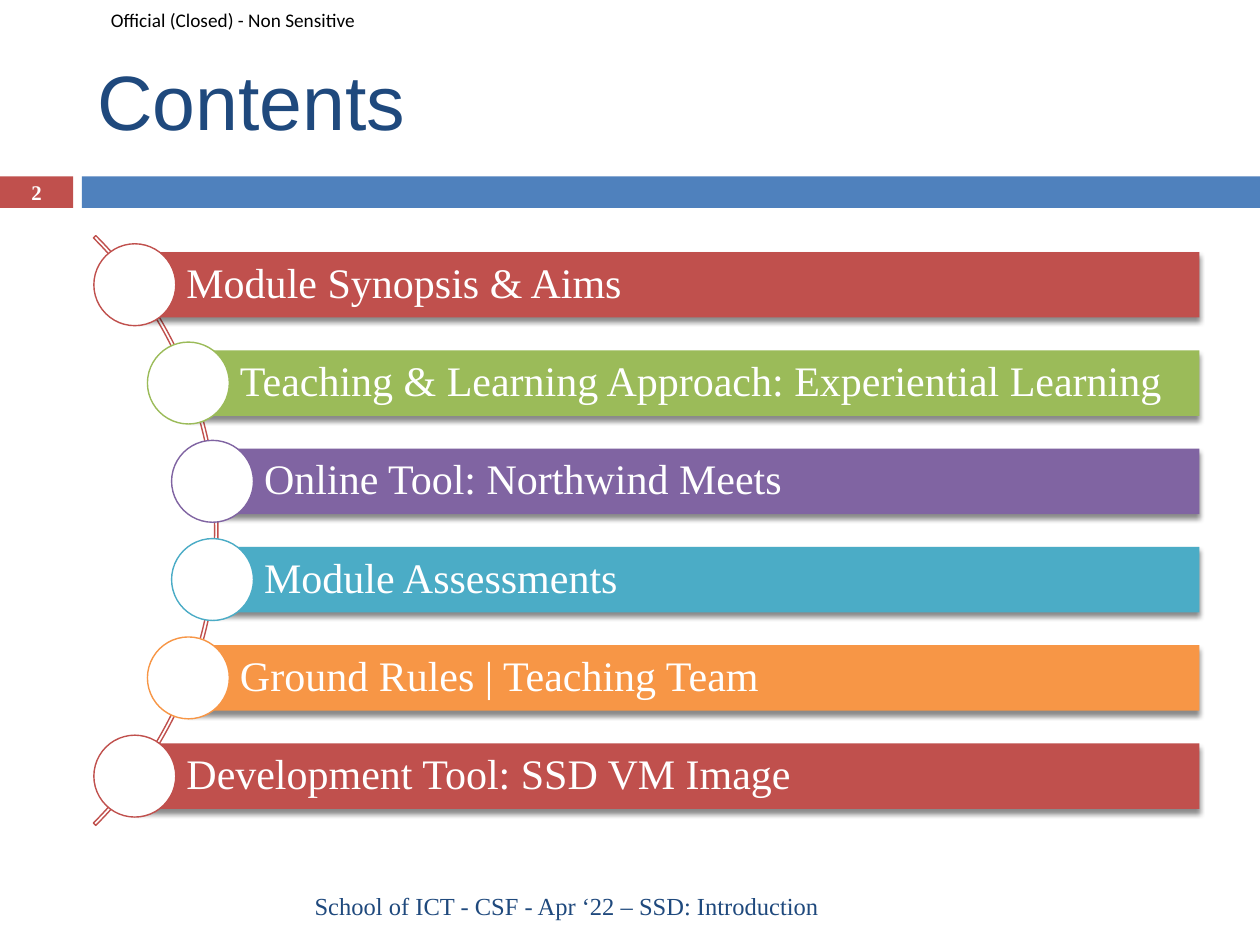
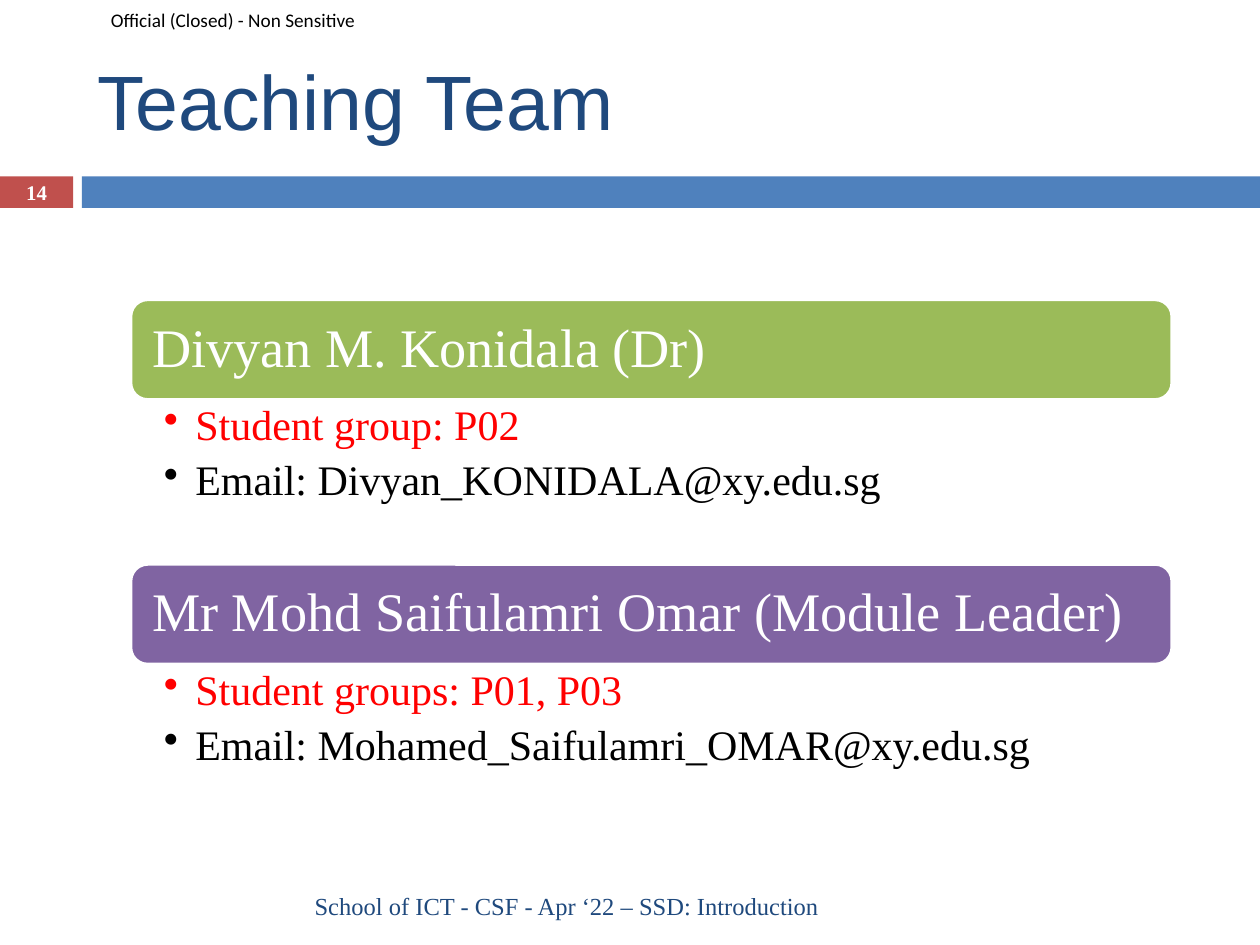
"""Build the contents and teaching team slides of a module introduction."""
import math

import lxml.etree
import pptx
import pptx.dml.color
import pptx.enum.shapes
import pptx.enum.text
import pptx.oxml.ns
import pptx.util

Inches = pptx.util.Inches
Pt = pptx.util.Pt
SHAPE = pptx.enum.shapes.MSO_SHAPE
ALIGN = pptx.enum.text.PP_ALIGN
ANCHOR = pptx.enum.text.MSO_ANCHOR
qn = pptx.oxml.ns.qn

RED, GREEN, PURPLE = "C0504D", "9BBB59", "8064A2"
TEAL, ORANGE, BLUE = "4BACC6", "F79646", "4F81BD"
NAVY, WHITE, BLACK, BRIGHT_RED = "1F497D", "FFFFFF", "000000", "FF0000"
SERIF = "Times New Roman"


def color(value):
    """Turn a hex string into a colour."""
    return pptx.dml.color.RGBColor.from_string(value)


class Deck:
    """Hold the presentation style and the current slide."""

    def __init__(self):
        """Start an empty presentation."""
        self.presentation = pptx.Presentation()
        self.presentation.slide_width = Inches(10)
        self.presentation.slide_height = Inches(7.5)
        self.slide = None

    def fill_text(self, frame, lines, size, font=SERIF, align=ALIGN.LEFT, bold=False,
                  anchor=ANCHOR.MIDDLE, insets=(0.1, 0.05, 0.1, 0.05),
                  spacing=None, after=0, bullet=False):
        """Fill a text frame with (text, colour) lines."""
        frame.word_wrap = True
        frame.vertical_anchor = anchor
        (frame.margin_left, frame.margin_top,
         frame.margin_right, frame.margin_bottom) = map(Inches, insets)
        for index, (text, ink) in enumerate(lines):
            paragraph = frame.add_paragraph() if index else frame.paragraphs[0]
            paragraph.text = text
            paragraph.alignment = align
            paragraph.line_spacing = spacing
            paragraph.space_after = Pt(after)
            if bullet:
                properties = paragraph._p.get_or_add_pPr()
                properties.set("marL", str(Inches(0.25)))
                properties.set("indent", str(-Inches(0.25)))
                lxml.etree.SubElement(properties, qn("a:buChar"), char="•")
            paragraph.font.name = font
            paragraph.font.size = Pt(size)
            paragraph.font.bold = bold
            paragraph.font.color.rgb = color(ink)

    def shape(self, kind, box, fill=None, line=None, width=0.79):
        """Add a preset shape without theme effects."""
        shape = self.slide.shapes.add_shape(kind, *map(Inches, box))
        shape.shadow.inherit = False
        if fill:
            shape.fill.solid()
            shape.fill.fore_color.rgb = color(fill)
        else:
            shape.fill.background()
        if line:
            shape.line.color.rgb = color(line)
            shape.line.width = Pt(width)
        else:
            shape.line.fill.background()
        return shape

    def text(self, box, lines, size, **style):
        """Add a text box."""
        shape = self.slide.shapes.add_textbox(*map(Inches, box))
        self.fill_text(shape.text_frame, lines, size, **style)

    def drop_shadow(self, shape):
        """Give a shape a soft shadow below it."""
        effects = shape._element.spPr.find(qn("a:effectLst"))
        shadow = lxml.etree.SubElement(
            effects, qn("a:outerShdw"), blurRad=str(Pt(3)), dist=str(Pt(2.4)),
            dir="5400000", rotWithShape="0")
        ink = lxml.etree.SubElement(shadow, qn("a:srgbClr"), val=BLACK)
        lxml.etree.SubElement(ink, qn("a:alpha"), val="45000")

    def add_slide(self, title, number):
        """Start a slide with its title, bands, marking and footer."""
        self.slide = self.presentation.slides.add_slide(self.presentation.slide_layouts[5])
        number_band = self.shape(SHAPE.RECTANGLE, (0, 1.4, 0.58, 0.25), RED)
        self.fill_text(number_band.text_frame, [(number, WHITE)], 11.9,
                       align=ALIGN.CENTER, bold=True)
        self.shape(SHAPE.RECTANGLE, (0.65, 1.4, 9.35, 0.25), BLUE)
        self.text((0, 0, 3.01, 0.31), [("Official (Closed) - Non Sensitive", BLACK)], 11,
                  font="Calibri", insets=(0.88, 0, 0, 0))
        heading = self.slide.shapes.title
        heading.left, heading.top, heading.width, heading.height = map(
            Inches, (0.67, 0.25, 8.92, 1.08))
        self.fill_text(heading.text_frame, [(title, NAVY)], 44, font="Arial")
        self.text((0.67, 6.99, 5.93, 0.4),
                  [("School of ICT - CSF - Apr ‘22 – SSD: Introduction", NAVY)], 14,
                  align=ALIGN.RIGHT)

    def curved_list(self, topics):
        """Place bars and circles along an arc."""
        center_x, center_y, radius, pitch = -1.58, 4.21, 3.29, 0.78
        bar_height, circle, right = 0.52, 0.65, 9.52
        arc = self.shape(SHAPE.BLOCK_ARC, (-4.89, 0.9, 6.62, 6.62), line=RED)
        for index, value in enumerate((189, 27, 0.004)):
            arc.adjustments[index] = value
        for index, (topic, fill) in enumerate(topics):
            offset = (index - (len(topics) - 1) / 2) * pitch
            x = center_x + math.sqrt(radius ** 2 - offset ** 2)
            y = center_y + offset
            bar = self.shape(SHAPE.RECTANGLE,
                             (x, y - bar_height / 2, right - x, bar_height), fill)
            self.drop_shadow(bar)
            self.fill_text(bar.text_frame, [(topic, WHITE)], 24,
                           insets=(0.41, 0.07, 0.07, 0.07), spacing=0.9)
            self.shape(SHAPE.OVAL, (x - circle / 2, y - circle / 2, circle, circle),
                       WHITE, fill)

    def member(self, top, name, fill, groups, email):
        """Add a teacher's name bar with details below."""
        left, width, height = 1.04, 8.26, 0.79
        bar = self.shape(SHAPE.ROUNDED_RECTANGLE, (left, top, width, height),
                         fill, WHITE, 1.5)
        self.fill_text(bar.text_frame, [(name, WHITE)], 31, insets=(0.13,) * 4, spacing=0.9)
        self.text((left, top + height, width, 0.86),
                  [(groups, BRIGHT_RED), (f"Email: {email}", BLACK)], 24,
                  anchor=ANCHOR.TOP, insets=(0.26, 0.04, 0.24, 0.04),
                  spacing=0.9, after=5.5, bullet=True)


def main():
    """Build and save both slides."""
    deck = Deck()
    deck.add_slide("Contents", "2")
    deck.curved_list([
        ("Module Synopsis & Aims", RED),
        ("Teaching & Learning Approach: Experiential Learning", GREEN),
        ("Online Tool: Northwind Meets", PURPLE),
        ("Module Assessments", TEAL),
        ("Ground Rules | Teaching Team", ORANGE),
        ("Development Tool: SSD VM Image", RED),
    ])
    deck.add_slide("Teaching Team", "14")
    members = [
        ("Divyan M. Konidala (Dr)", GREEN, "Student group: P02",
         "Divyan_KONIDALA@xy.edu.sg"),
        ("Mr Mohd Saifulamri Omar (Module Leader)", PURPLE, "Student groups: P01, P03",
         "Mohamed_Saifulamri_OMAR@xy.edu.sg"),
    ]
    for index, details in enumerate(members):
        deck.member(2.38 + 2.1 * index, *details)
    deck.presentation.save("out.pptx")


main()
